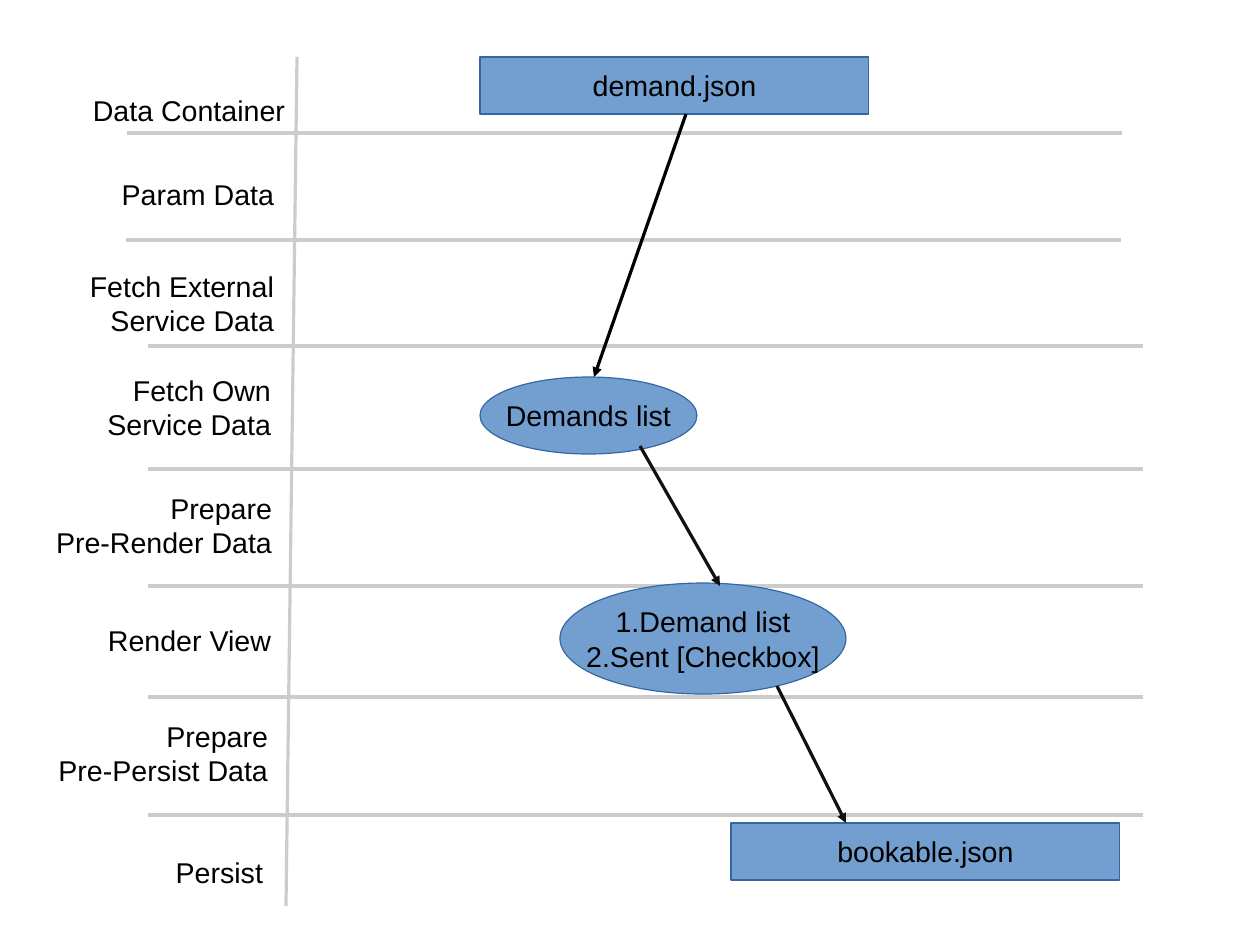
from lxml.etree import SubElement
from pptx import Presentation
from pptx.dml.color import RGBColor
from pptx.enum.shapes import MSO_CONNECTOR as Connector, MSO_SHAPE as Shape
from pptx.enum.text import MSO_ANCHOR as Anchor, PP_ALIGN as Align
from pptx.oxml.ns import qn
from pptx.util import Pt

EMU_PER_PX = 8000
SLIDE_SIZE = (1260, 945)
FONT, FONT_SIZE = "Arial", 18
BLACK, GRID, FILL, OUTLINE = "000000", "CCCCCC", "729FCF", "3465A4"

LABEL_WIDTH, INSET_X, INSET_Y = 250, 11, 6
STAGE_LABELS = [
    (["Data Container"], 285, 87),
    (["Param Data"], 274, 171),
    (["Fetch External", "Service Data"], 274, 263),
    (["Fetch Own", "Service Data"], 271, 367),
    (["Prepare", "Pre-Render Data"], 272, 485),
    (["Render View"], 271, 617),
    (["Prepare", "Pre-Persist Data"], 268, 713),
    (["Persist"], 263, 849),
]
DIVIDER_LENGTH = 995
DIVIDERS = [(127, 133), (126, 240), (148, 346), (148, 469),
            (148, 586), (148, 697), (148, 815)]
LABEL_DIVIDER = ((297, 57), (286, 906))
NODES = [
    (Shape.RECTANGLE, (480, 57, 389, 57), ["demand.json"]),
    (Shape.OVAL, (480, 377, 217, 77), ["Demands list"]),
    (Shape.OVAL, (560, 583, 286, 111), ["1.Demand list", "2.Sent [Checkbox]"]),
    (Shape.RECTANGLE, (731, 823, 389, 57), ["bookable.json"]),
]
ARROWS = [
    ((686, 114), (594, 377), BLACK),
    ((640, 446), (720, 586), "111111"),
    ((777, 686), (846, 823), "111111"),
]


def px(*lengths):
    """Turn pixel lengths into EMU."""
    return [length * EMU_PER_PX for length in lengths]


def color(value):
    """Turn a hex string into a colour."""
    return RGBColor.from_string(value)


def write_lines(shape, lines, align, wrap):
    """Write one paragraph per line into a shape."""
    frame = shape.text_frame
    frame.word_wrap = wrap
    frame.margin_left, frame.margin_right = px(INSET_X, INSET_X)
    frame.margin_top, frame.margin_bottom = px(INSET_Y, INSET_Y)
    for index, line in enumerate(lines):
        paragraph = frame.add_paragraph() if index else frame.paragraphs[0]
        paragraph.alignment = align
        run = paragraph.add_run()
        run.text = line
        run.font.name, run.font.size = FONT, Pt(FONT_SIZE)
        run.font.color.rgb = color(BLACK)


def add_line(slide, start, end, line_color, arrow=False):
    """Draw a hairline, with an arrowhead at its end if asked."""
    line = slide.shapes.add_connector(Connector.STRAIGHT, *px(*start, *end))
    line.line.color.rgb = color(line_color)
    line.line.width = 0
    properties = line._element.spPr
    if arrow:
        SubElement(properties.find(qn("a:ln")), qn("a:tailEnd"), type="triangle")
    SubElement(properties, qn("a:effectLst"))


def add_label(slide, lines, right, top):
    """Place a stage label whose text ends at the given right edge."""
    left = right + INSET_X - LABEL_WIDTH
    height = 2 * INSET_Y + 34 * len(lines)
    box = slide.shapes.add_textbox(*px(left, top, LABEL_WIDTH, height))
    write_lines(box, lines, Align.RIGHT, True)


def add_node(slide, kind, bounds, lines):
    """Draw a blue node with centred text."""
    node = slide.shapes.add_shape(kind, *px(*bounds))
    node.shadow.inherit = False
    node.fill.solid()
    node.fill.fore_color.rgb = color(FILL)
    node.line.color.rgb = color(OUTLINE)
    node.line.width = 0
    node.text_frame.vertical_anchor = Anchor.MIDDLE
    write_lines(node, lines, Align.CENTER, False)


def main():
    """Build the data flow slide."""
    presentation = Presentation()
    presentation.slide_width, presentation.slide_height = px(*SLIDE_SIZE)
    slide = presentation.slides.add_slide(presentation.slide_layouts[6])
    for left, y in DIVIDERS:
        add_line(slide, (left, y), (left + DIVIDER_LENGTH, y), GRID)
    add_line(slide, *LABEL_DIVIDER, GRID)
    for label in STAGE_LABELS:
        add_label(slide, *label)
    for node in NODES:
        add_node(slide, *node)
    for arrow in ARROWS:
        add_line(slide, *arrow, arrow=True)
    presentation.save("out.pptx")


if __name__ == "__main__":
    main()
